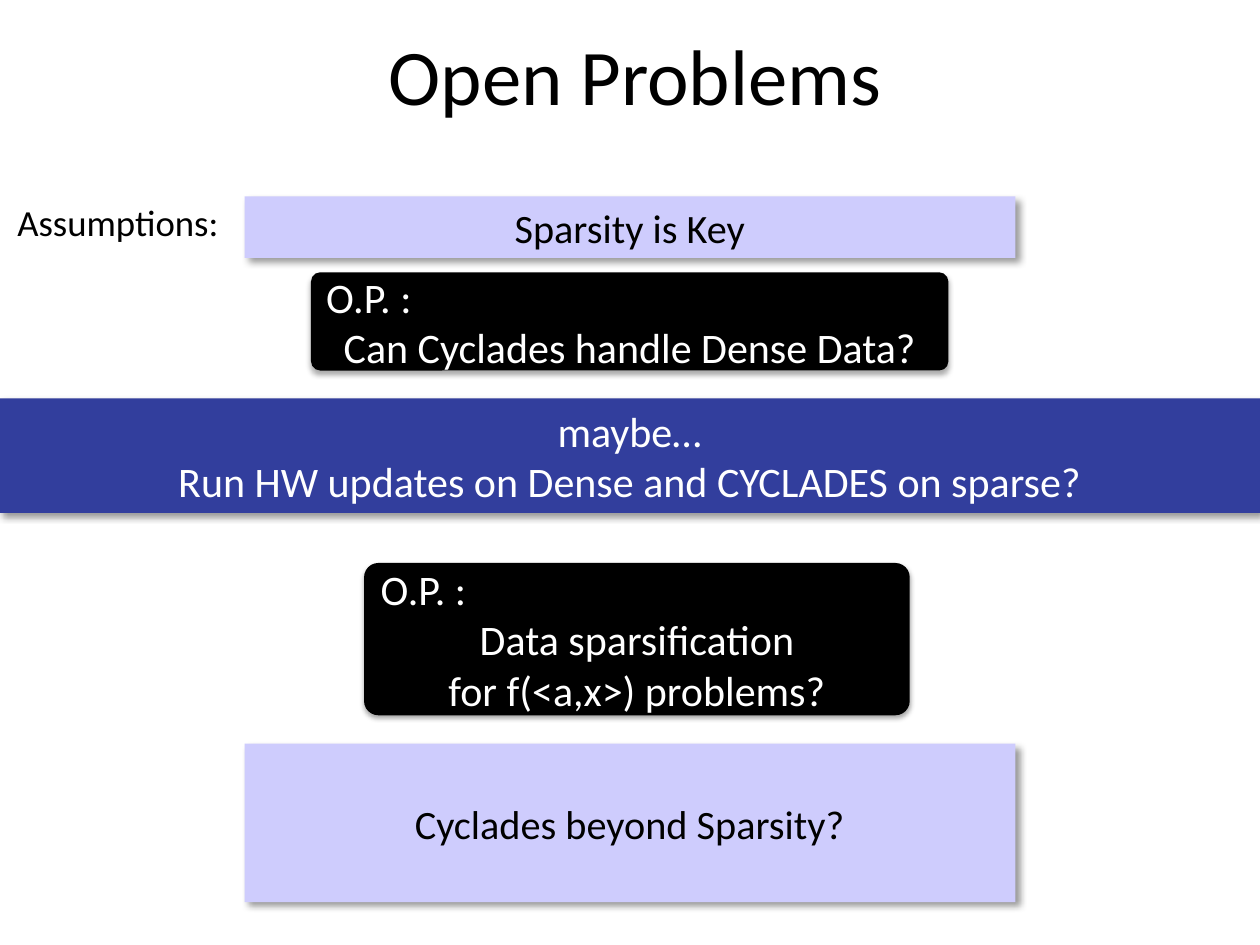
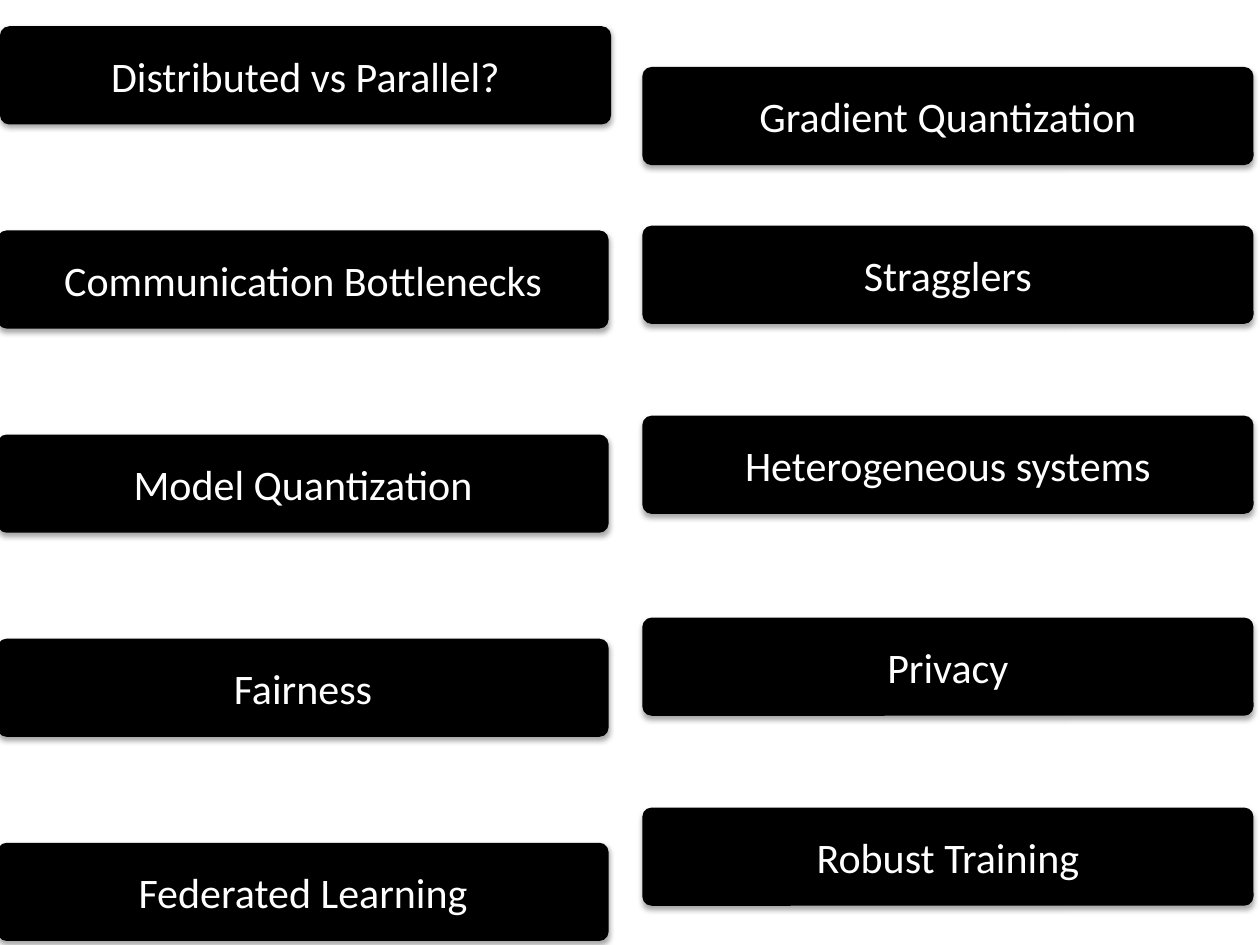
from lxml import etree
from pptx import Presentation
from pptx.dml.color import RGBColor
from pptx.enum.shapes import MSO_SHAPE
from pptx.enum.text import MSO_ANCHOR, MSO_AUTO_SIZE, PP_ALIGN
from pptx.oxml.ns import qn
from pptx.util import Cm, Pt

RECTANGLE, ROUNDED = MSO_SHAPE.RECTANGLE, MSO_SHAPE.ROUNDED_RECTANGLE
LEFT, CENTER = PP_ALIGN.LEFT, PP_ALIGN.CENTER
TOP, MIDDLE = MSO_ANCHOR.TOP, MSO_ANCHOR.MIDDLE
NO_AUTOFIT = MSO_AUTO_SIZE.NONE
TITLE_ONLY, BLANK = 5, 6

FONT = "Calibri"
BLACK, WHITE, LAVENDER, INDIGO = "000000", "FFFFFF", "CECCFD", "323E9D"

# Shadows: opacity in percent, blur and distance in points, direction in degrees
BAND_SHADOW = (40, 4, 3, 45)
CARD_SHADOW = (35, 3.1, 1.8, 90)
CARD_CORNER = 0.094
CARD_HEIGHT = 1.98

# Topic columns of the second slide
TOPIC_WIDTH = 12.32
LEFT_TOPICS = ["Distributed vs Parallel?", "Communication Bottlenecks",
               "Model Quantization", "Fairness", "Federated Learning"]
LEFT_START, LEFT_STEP = 0.53, 4.115
RIGHT_X = 12.95
RIGHT_TOPICS = [("Gradient Quantization", 1.35), ("Stragglers", 4.55),
                ("Heterogeneous systems", 8.38), ("Privacy", 12.45),
                ("Robust Training", 16.28)]


def rgb(color):
    return RGBColor.from_string(color)


def set_attributes(target, values):
    for name, value in values.items():
        setattr(target, name, value)


def place(shape, left, top, width, height):
    set_attributes(shape, {"left": Cm(left), "top": Cm(top),
                           "width": Cm(width), "height": Cm(height)})


def write(shape, lines, size, color, anchor=MIDDLE):
    """Fill a shape with (text, alignment) lines."""
    frame = shape.text_frame
    set_attributes(frame, {"word_wrap": True, "auto_size": NO_AUTOFIT,
                           "vertical_anchor": anchor})
    for index, (text, alignment) in enumerate(lines):
        para = frame.add_paragraph() if index else frame.paragraphs[0]
        para.alignment = alignment
        span = para.add_run()
        span.text = text
        set_attributes(span.font, {"name": FONT, "size": Pt(size)})
        span.font.color.rgb = rgb(color)


def add_shadow(shape, opacity, blur, distance, direction):
    shape.shadow.inherit = False
    effects = shape._element.spPr.find(qn("a:effectLst"))
    shadow = etree.SubElement(effects, qn("a:outerShdw"), {
        "blurRad": str(Pt(blur)), "dist": str(Pt(distance)),
        "dir": str(direction * 60000), "rotWithShape": "0"})
    color = etree.SubElement(shadow, qn("a:srgbClr"), val=BLACK)
    etree.SubElement(color, qn("a:alpha"), val=str(opacity * 1000))


def add_panel(page, kind, area, fill, shadow):
    panel = page.shapes.add_shape(kind, *map(Cm, area))
    panel.fill.solid()
    panel.fill.fore_color.rgb = rgb(fill)
    panel.line.fill.background()
    add_shadow(panel, *shadow)
    return panel


def add_band(page, area, lines, fill, size, color):
    band = add_panel(page, RECTANGLE, area, fill, BAND_SHADOW)
    write(band, [(line, CENTER) for line in lines], size, color)


def add_card(page, area, lines):
    card = add_panel(page, ROUNDED, area, BLACK, CARD_SHADOW)
    card.adjustments[0] = CARD_CORNER
    write(card, lines, 24, WHITE)


def add_problem(page, area, lines):
    add_card(page, area, [("O.P. :", LEFT)] + [(line, CENTER) for line in lines])


def build_open_problems(deck):
    page = deck.slides.add_slide(deck.slide_layouts[TITLE_ONLY])
    title = page.shapes.title
    place(title, 0.1, -0.56, 25.4, 4.09)
    write(title, [("Open Problems", CENTER)], 45, BLACK)

    # Label beside the first band
    label = page.shapes.add_textbox(Cm(0.1), Cm(3.68), Cm(25.3), Cm(11.25))
    write(label, [("Assumptions:", LEFT)], 21, BLACK, TOP)
    label.text_frame.margin_top = Cm(0.34)

    # Bands and open problems
    add_band(page, (4.93, 3.96, 15.54, 1.24), ["Sparsity is Key"],
             LAVENDER, 23, BLACK)
    add_band(page, (-0.02, 8.03, 25.42, 2.31),
             ["maybe…", "Run HW updates on Dense and CYCLADES on sparse?"],
             INDIGO, 24, WHITE)
    add_problem(page, (7.34, 11.35, 11, 3.07),
                ["Data sparsification", "for f(<a,x>) problems?"])
    add_problem(page, (6.27, 5.49, 12.85, CARD_HEIGHT),
                ["Can Cyclades handle Dense Data?"])
    add_band(page, (4.93, 14.99, 15.54, 3.2), ["Cyclades beyond Sparsity?"],
             LAVENDER, 23, BLACK)


def build_topics(deck):
    page = deck.slides.add_slide(deck.slide_layouts[BLANK])
    topics = [(text, -0.05 if row else 0, LEFT_START + row * LEFT_STEP)
              for row, text in enumerate(LEFT_TOPICS)]
    topics += [(text, RIGHT_X, top) for text, top in RIGHT_TOPICS]
    for text, left, top in topics:
        add_card(page, (left, top, TOPIC_WIDTH, CARD_HEIGHT), [(text, CENTER)])


def main():
    deck = Presentation()
    set_attributes(deck, {"slide_width": Cm(25.4), "slide_height": Cm(19.05)})
    build_open_problems(deck)
    build_topics(deck)
    deck.save("out.pptx")


if __name__ == "__main__":
    main()
